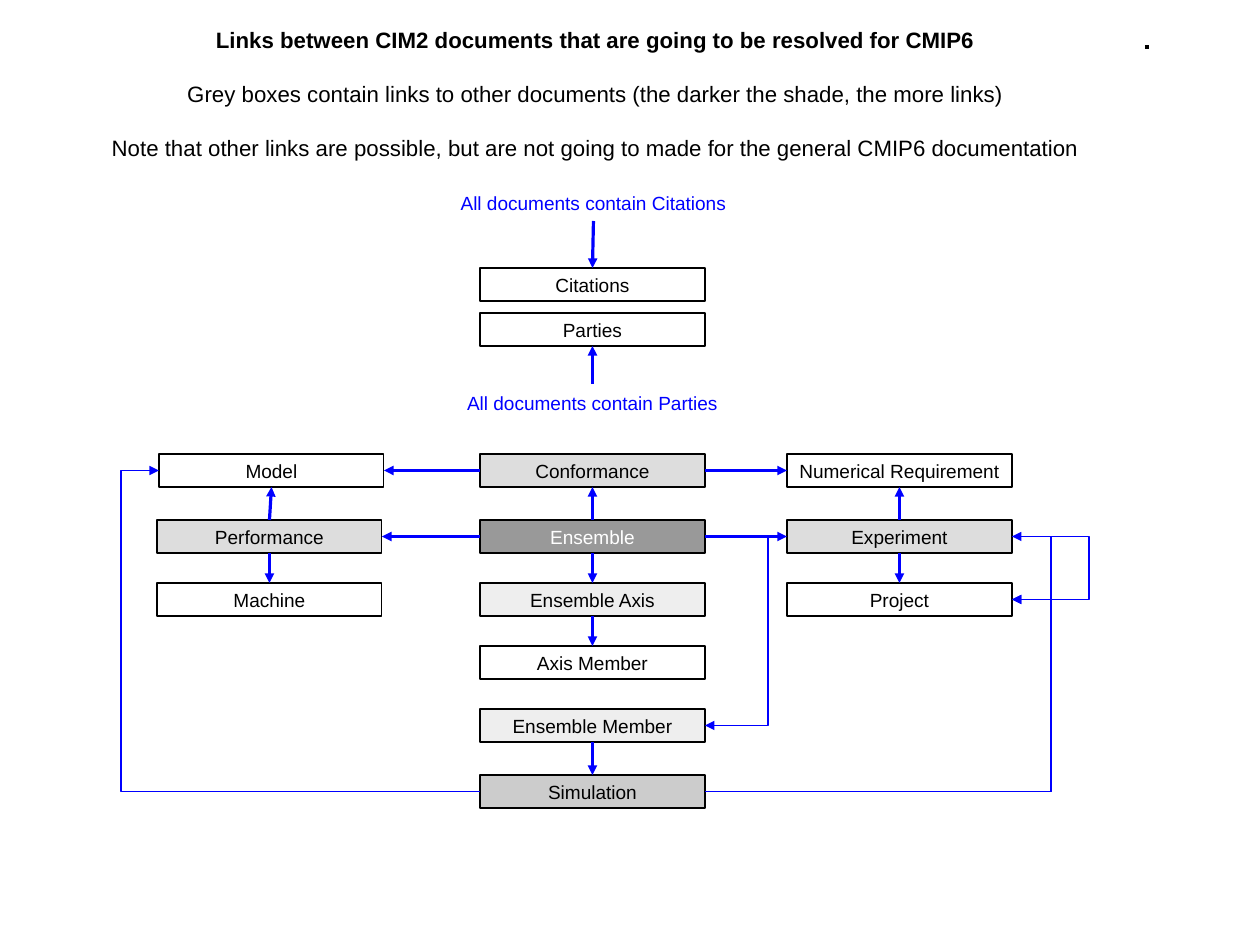
from dataclasses import dataclass

from lxml import etree
from pptx import Presentation
from pptx.dml.color import RGBColor
from pptx.enum.shapes import MSO_CONNECTOR, MSO_SHAPE
from pptx.enum.text import MSO_ANCHOR, PP_ALIGN
from pptx.oxml.ns import qn
from pptx.util import Pt

PX = 8000  # EMU per pixel
RECTANGLE = MSO_SHAPE.RECTANGLE
STRAIGHT = MSO_CONNECTOR.STRAIGHT
CENTER = PP_ALIGN.CENTER
TOP_ANCHOR, MIDDLE_ANCHOR = MSO_ANCHOR.TOP, MSO_ANCHOR.MIDDLE
TOP, LEFT, BOTTOM, RIGHT = range(4)  # connection sites of a rectangle


@dataclass(frozen=True)
class Theme:
    font: str = "Arial"
    heading_size: float = 14
    label_size: float = 12
    heading_gap: float = 17.3
    ink: str = "000000"
    link: str = "0000FF"
    white: str = "FFFFFF"
    pale: str = "EEEEEE"
    light: str = "DDDDDD"
    medium: str = "CCCCCC"
    dark: str = "999999"


theme = Theme()

deck = Presentation()
deck.slide_width, deck.slide_height = 1260 * PX, 945 * PX
page = deck.slides.add_slide(deck.slide_layouts[6])


def write(box, lines, size, color, anchor=MIDDLE_ANCHOR, wrap=False):
    frame = box.text_frame
    frame.word_wrap = wrap
    frame.vertical_anchor = anchor
    frame.margin_left = frame.margin_right = 14 * PX
    frame.margin_top = frame.margin_bottom = 6 * PX
    frame.text = "\n".join(lines)
    for para in frame.paragraphs:
        para.alignment = CENTER
        para.font.name = theme.font
        para.font.size = Pt(size)
        para.font.color.rgb = RGBColor.from_string(color)


def style_link(link, color=theme.link, arrow=True):
    link.line.color.rgb = RGBColor.from_string(color)
    link.line.width = 0
    if arrow:
        etree.SubElement(link.line._get_or_add_ln(), qn("a:tailEnd"), type="triangle")
    properties = link._element.spPr
    if properties.find(qn("a:effectLst")) is None:
        etree.SubElement(properties, qn("a:effectLst"))


# Heading
heading = page.shapes.add_textbox(91 * PX, 20 * PX, 1009 * PX, 166 * PX)
write(heading, [
    "Links between CIM2 documents that are going to be resolved for CMIP6",
    "Grey boxes contain links to other documents (the darker the shade, the more links)",
    "Note that other links are possible, but are not going to made for the general CMIP6 documentation",
], theme.heading_size, theme.ink, TOP_ANCHOR, wrap=True)
title, *notes = heading.text_frame.paragraphs
title.font.bold = True
for note in notes:
    note.space_before = Pt(theme.heading_gap)

# Document boxes: name, left, top, shade
WIDTH, HEIGHT = 225, 33
WEST, MIDDLE, EAST = 157, 480, 787
ROW_1, ROW_2, ROW_3 = 454, 520, 583
documents = [
    ("Citations", MIDDLE, 268, None),
    ("Parties", MIDDLE, 313, None),
    ("Model", WEST + 2, ROW_1, None),
    ("Performance", WEST, ROW_2, theme.light),
    ("Machine", WEST, ROW_3, None),
    ("Conformance", MIDDLE, ROW_1, theme.light),
    ("Ensemble", MIDDLE, ROW_2, theme.dark),
    ("Ensemble Axis", MIDDLE, ROW_3, theme.pale),
    ("Axis Member", MIDDLE, 646, None),
    ("Ensemble Member", MIDDLE, 709, theme.pale),
    ("Simulation", MIDDLE, 775, theme.medium),
    ("Numerical Requirement", EAST, ROW_1, None),
    ("Experiment", EAST, ROW_2, theme.light),
    ("Project", EAST, ROW_3, None),
]
boxes = {}
for name, left, top, shade in documents:
    box = page.shapes.add_shape(RECTANGLE, left * PX, top * PX, WIDTH * PX, HEIGHT * PX)
    box.shadow.inherit = False
    if shade:
        box.fill.solid()
        box.fill.fore_color.rgb = RGBColor.from_string(shade)
    else:
        box.fill.background()
    box.line.color.rgb = RGBColor.from_string(theme.ink)
    box.line.width = 0
    write(box, [name], theme.label_size, theme.white if shade == theme.dark else theme.ink)
    boxes[name] = box

# Blue labels
for name, left, top, width in [("Citations", 445, 184, 297), ("Parties", 453, 384, 279)]:
    label = page.shapes.add_textbox(left * PX, top * PX, width * PX, 37 * PX)
    text = f"All documents contain {name}"
    write(label, [text], theme.label_size, theme.link)
    boxes[text] = label

# Straight links, glued to the boxes
straight_links = [
    ("All documents contain Citations", BOTTOM, "Citations", TOP),
    ("All documents contain Parties", TOP, "Parties", BOTTOM),
    ("Ensemble", BOTTOM, "Ensemble Axis", TOP),
    ("Ensemble", TOP, "Conformance", BOTTOM),
    ("Ensemble", LEFT, "Performance", RIGHT),
    ("Ensemble", RIGHT, "Experiment", LEFT),
    ("Ensemble Axis", BOTTOM, "Axis Member", TOP),
    ("Ensemble Member", BOTTOM, "Simulation", TOP),
    ("Performance", BOTTOM, "Machine", TOP),
    ("Performance", TOP, "Model", BOTTOM),
    ("Experiment", BOTTOM, "Project", TOP),
    ("Experiment", TOP, "Numerical Requirement", BOTTOM),
    ("Conformance", LEFT, "Model", RIGHT),
    ("Conformance", RIGHT, "Numerical Requirement", LEFT),
]
for source, start, target, end in straight_links:
    link = page.shapes.add_connector(STRAIGHT, 0, 0, 0, 0)
    link.begin_connect(boxes[source], start)
    link.end_connect(boxes[target], end)
    style_link(link)

# Links that run round the outside: source, target, side, x of the vertical run
detours = [
    ("Experiment", "Project", RIGHT, 1089),
    ("Simulation", "Project", RIGHT, 1051),
    ("Simulation", "Experiment", RIGHT, 1051),
    ("Simulation", "Model", LEFT, 121),
    ("Ensemble", "Ensemble Member", RIGHT, 768),
]
for source, target, side, turn in detours:
    (start_x, start_y), (end_x, end_y) = [
        (box.left + (box.width if side == RIGHT else 0), box.top + box.height // 2)
        for box in (boxes[source], boxes[target])
    ]
    outline = page.shapes.build_freeform(start_x, start_y)
    outline.add_line_segments(
        [(turn * PX, start_y), (turn * PX, end_y), (end_x, end_y)], close=False)
    route = outline.convert_to_shape()
    route.fill.background()
    style_link(route)

# Short dash in the top right corner
dash = page.shapes.add_connector(STRAIGHT, 1145 * PX, 47 * PX, 1149 * PX, 47 * PX)
style_link(dash, theme.ink, arrow=False)

deck.save("out.pptx")
